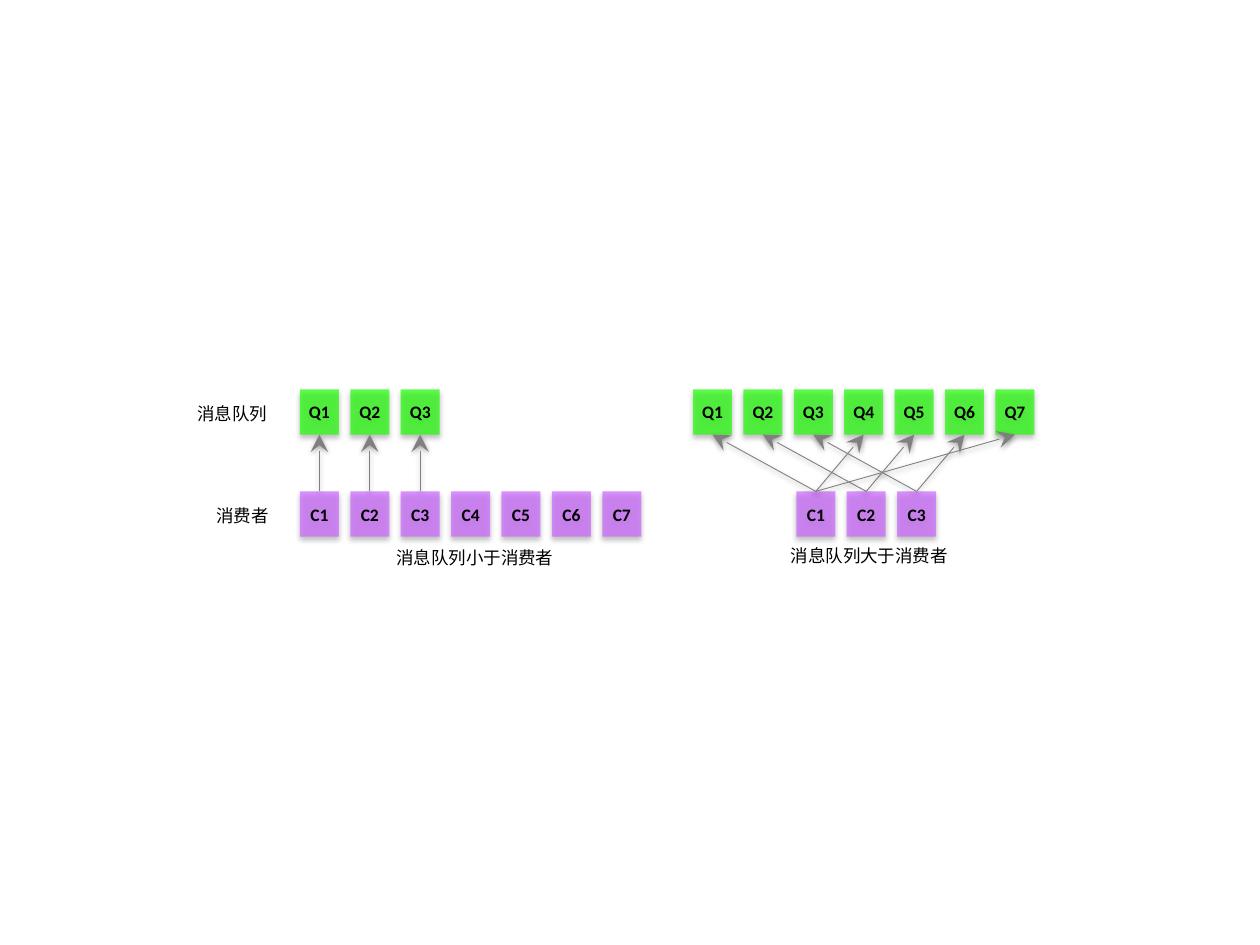
"""Build a slide comparing how message queues are assigned to consumers."""
from dataclasses import dataclass

from lxml import etree
from pptx import Presentation
from pptx.dml.color import RGBColor
from pptx.enum.shapes import MSO_CONNECTOR, MSO_SHAPE
from pptx.enum.text import MSO_ANCHOR, MSO_AUTO_SIZE, PP_ALIGN
from pptx.oxml.ns import qn
from pptx.util import Inches, Pt

COLORS = {"queue": "21FF06", "consumer": "CC66FF", "arrow": "808080",
          "text": "000000", "shadow": "000000"}
FONT = "Calibri"
BOX_WIDTH, BOX_HEIGHT, PITCH = 0.31, 0.36, 0.4
QUEUE_TOP, CONSUMER_TOP = 3.09, 3.9


@dataclass(frozen=True)
class Scenario:
    queues: int
    queue_left: float
    consumers: int
    consumer_left: float


@dataclass(frozen=True)
class Label:
    text: str
    left: float
    top: float
    width: float


SCENARIOS = [Scenario(3, 2.38, 7, 2.38), Scenario(7, 5.5, 3, 6.32)]
LABELS = [
    Label("消息队列", 1.46, 3.15, 0.76),
    Label("消费者", 1.61, 3.96, 0.62),
    Label("消息队列小于消费者", 3.03, 4.29, 1.46),
    Label("消息队列大于消费者", 6.16, 4.28, 1.46),
]


def add_shadow(effects, distance: float, opacity: int) -> None:
    shadow = etree.SubElement(effects, qn("a:outerShdw"), blurRad=str(Pt(3.1)),
                              dist=str(Pt(distance)), dir="5400000",
                              rotWithShape="0")
    color = etree.SubElement(shadow, qn("a:srgbClr"), val=COLORS["shadow"])
    etree.SubElement(color, qn("a:alpha"), val=str(opacity * 1000))


def write_text(frame, text: str, align: PP_ALIGN, bold: bool = False) -> None:
    paragraph = frame.paragraphs[0]
    paragraph.alignment = align
    run = paragraph.add_run()
    run.text = text
    run.font.name = FONT
    run.font.size = Pt(10)
    run.font.bold = bold
    run.font.color.rgb = RGBColor.from_string(COLORS["text"])


def add_box(slide, text: str, left: float, top: float, color: str) -> None:
    box = slide.shapes.add_shape(MSO_SHAPE.RECTANGLE, Inches(left), Inches(top),
                                 Inches(BOX_WIDTH), Inches(BOX_HEIGHT))
    box.fill.solid()
    box.fill.fore_color.rgb = RGBColor.from_string(COLORS[color])
    properties = box.element.spPr
    fill_color = properties.find(qn("a:solidFill")).find(qn("a:srgbClr"))
    etree.SubElement(fill_color, qn("a:alpha"), val="70000")
    box.line.fill.background()
    box.shadow.inherit = False
    add_shadow(properties.find(qn("a:effectLst")), 1.8, 35)
    frame = box.text_frame
    frame.margin_left = frame.margin_right = 0
    frame.margin_top = frame.margin_bottom = 0
    frame.vertical_anchor = MSO_ANCHOR.MIDDLE
    write_text(frame, text, PP_ALIGN.CENTER, bold=True)


def add_row(slide, prefix: str, count: int, left: float, top: float, color: str) -> None:
    for index in range(count):
        add_box(slide, f"{prefix}{index + 1}", left + index * PITCH, top, color)


def add_arrow(slide, start_x: float, end_x: float) -> None:
    arrow = slide.shapes.add_connector(
        MSO_CONNECTOR.STRAIGHT, Inches(start_x), Inches(CONSUMER_TOP),
        Inches(end_x), Inches(QUEUE_TOP + BOX_HEIGHT))
    arrow.line.color.rgb = RGBColor.from_string(COLORS["arrow"])
    arrow.line.width = Pt(0.5)
    properties = arrow.element.spPr
    etree.SubElement(properties.find(qn("a:ln")), qn("a:tailEnd"),
                     type="stealth", w="lg", len="lg")
    add_shadow(etree.SubElement(properties, qn("a:effectLst")), 1.6, 38)


def add_scenario(slide, scenario: Scenario) -> None:
    add_row(slide, "Q", scenario.queues, scenario.queue_left, QUEUE_TOP, "queue")
    add_row(slide, "C", scenario.consumers, scenario.consumer_left,
            CONSUMER_TOP, "consumer")
    for queue in range(scenario.queues):
        consumer = queue % scenario.consumers
        add_arrow(slide,
                  scenario.consumer_left + consumer * PITCH + BOX_WIDTH / 2,
                  scenario.queue_left + queue * PITCH + BOX_WIDTH / 2)


def add_label(slide, label: Label) -> None:
    box = slide.shapes.add_textbox(Inches(label.left), Inches(label.top),
                                   Inches(label.width), Inches(0.27))
    box.text_frame.word_wrap = False
    box.text_frame.auto_size = MSO_AUTO_SIZE.SHAPE_TO_FIT_TEXT
    write_text(box.text_frame, label.text, PP_ALIGN.RIGHT)


def main() -> None:
    presentation = Presentation()
    presentation.slide_width = Inches(10)
    presentation.slide_height = Inches(7.5)
    slide = presentation.slides.add_slide(presentation.slide_layouts[6])
    for scenario in SCENARIOS:
        add_scenario(slide, scenario)
    for label in LABELS:
        add_label(slide, label)
    presentation.save("out.pptx")


main()
